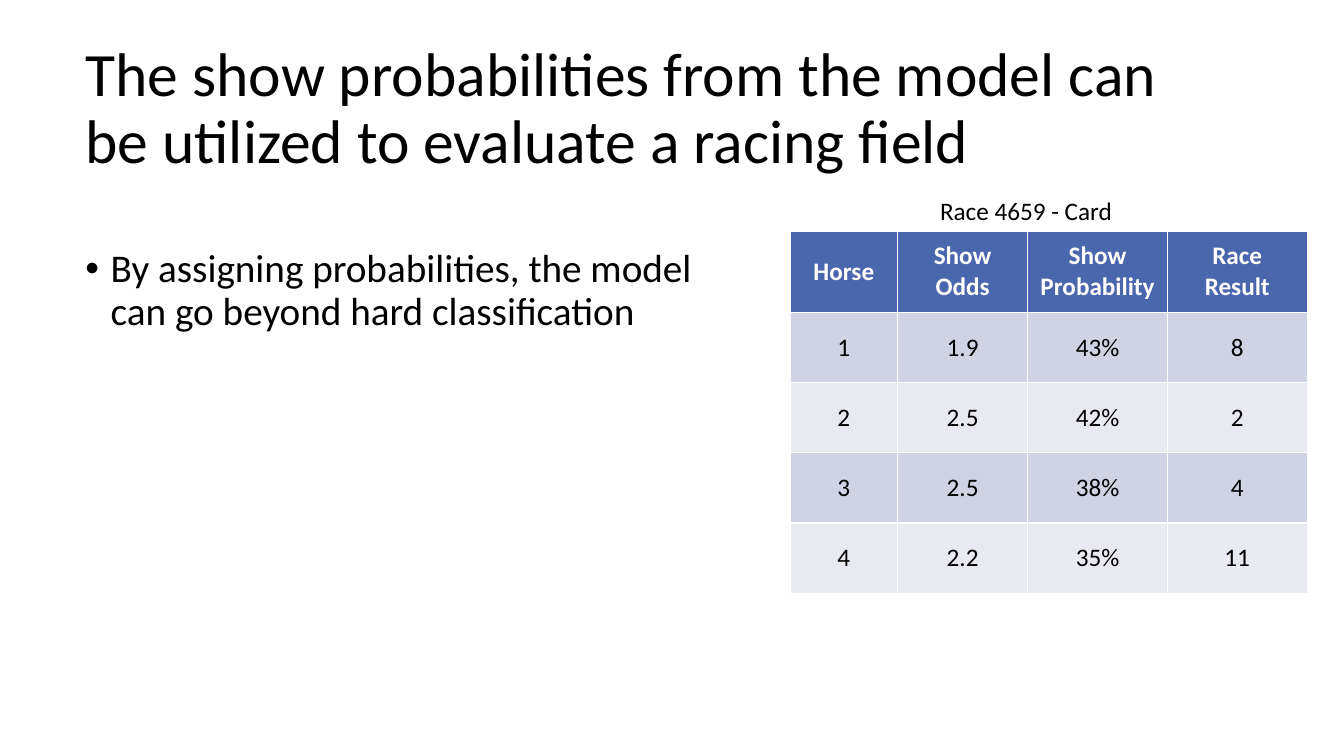
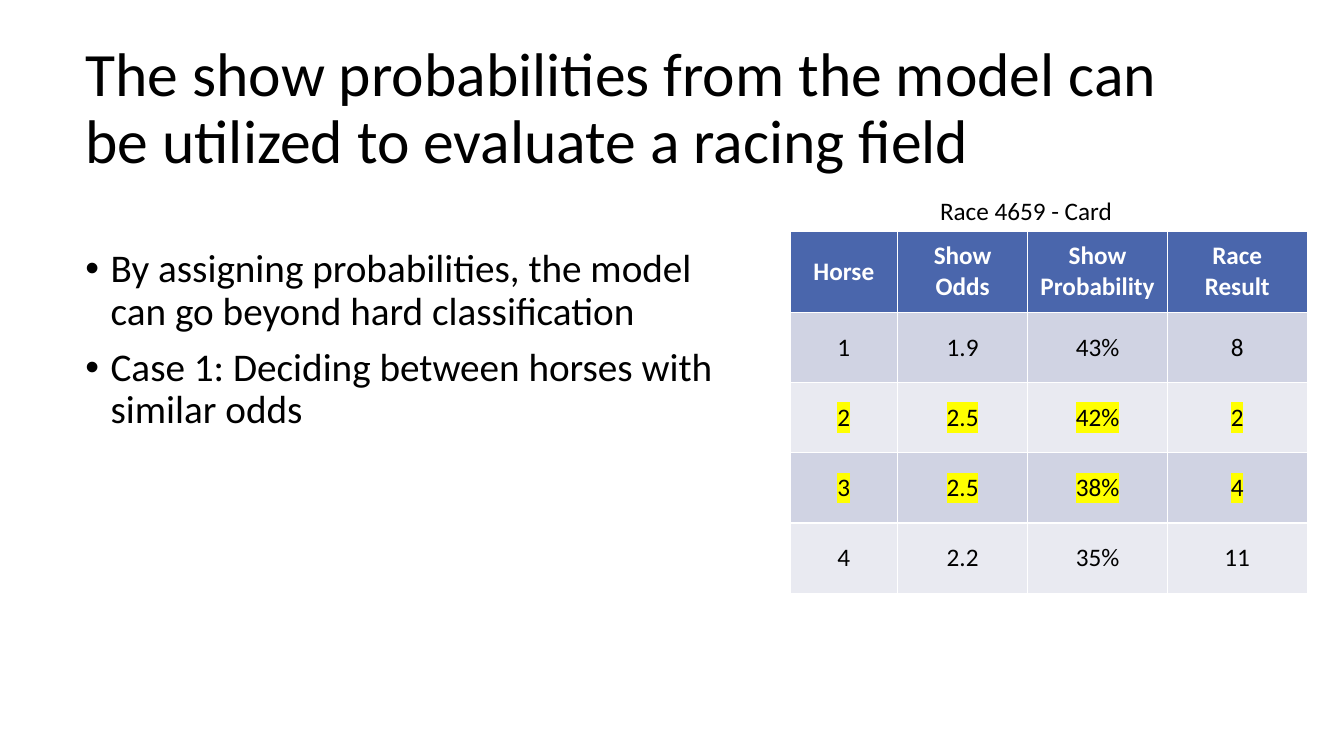
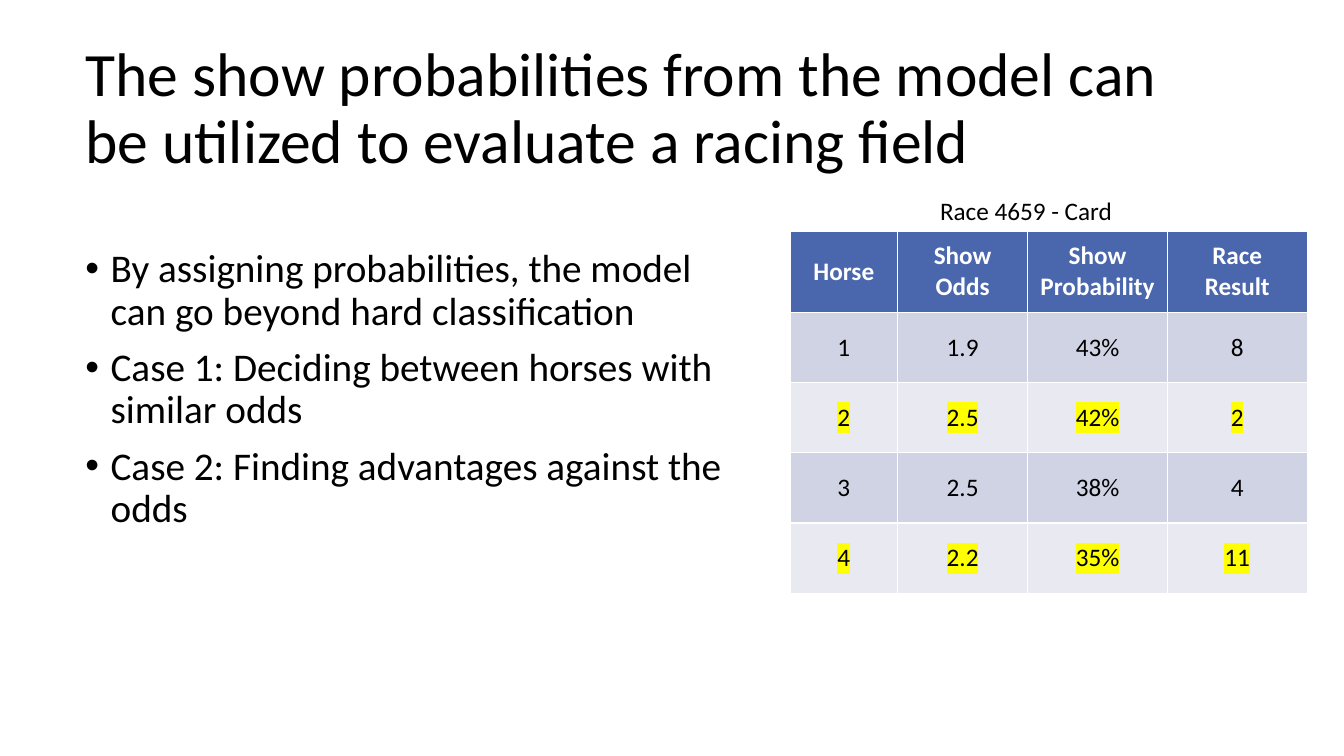
"""Build three slides that evaluate a racing field by show probability."""
import pptx
import pptx.dml.color
import pptx.enum.text
import pptx.util
from lxml import etree
from pptx.oxml.ns import qn
from pptx.util import Cm

TITLE = "The show probabilities from the model can be utilized to evaluate a racing field"
CAPTION = "Race 4659 - Card"
POINTS = [
    "By assigning probabilities, the model can go beyond hard classification",
    "Case 1: Deciding between horses with similar odds",
    "Case 2: Finding advantages against the odds",
]
RACE_CARD = [
    ["Horse", "Show Odds", "Show Probability", "Race Result"],
    ["1", "1.9", "43%", "8"],
    ["2", "2.5", "42%", "2"],
    ["3", "2.5", "38%", "4"],
    ["4", "2.2", "35%", "11"],
]
HIGHLIGHTED_ROWS = [(), (2, 3), (2, 4)]


def color(value):
    return pptx.dml.color.RGBColor.from_string(value)


class Deck:
    FONT = "Calibri"
    TEXT, HEADER_TEXT, HIGHLIGHT = "000000", "FFFFFF", "FFFF00"
    HEADER_FILL, ODD_FILL, EVEN_FILL = "4A66AC", "D0D3E3", "E9EAF1"
    COLUMN_WIDTHS = [2.71, 3.28, 3.52, 3.52]
    ROW_HEIGHTS = [2.05] + [1.77] * 4

    def __init__(self):
        self.presentation = pptx.Presentation()
        self.presentation.slide_width = Cm(33.87)
        self.presentation.slide_height = Cm(19.05)
        self.slide = None

    def format(self, paragraph, size, text_color=TEXT, bold=False):
        font = paragraph.font
        font.name, font.size, font.bold = self.FONT, pptx.util.Pt(size), bold
        font.color.rgb = color(text_color)

    def add_slide(self, text):
        layout = self.presentation.slide_layouts[5]
        self.slide = self.presentation.slides.add_slide(layout)
        title = self.slide.shapes.title
        title.left, title.top = Cm(1.9), Cm(0.74)
        title.width, title.height = Cm(29.21), Cm(4.06)
        frame = title.text_frame
        frame.text = text
        frame.auto_size = pptx.enum.text.MSO_AUTO_SIZE.NONE
        frame.vertical_anchor = pptx.enum.text.MSO_ANCHOR.MIDDLE
        paragraph = frame.paragraphs[0]
        paragraph.alignment = pptx.enum.text.PP_ALIGN.LEFT
        paragraph.line_spacing = 0.9
        self.format(paragraph, 44)

    def add_text(self, lines, left, top, width, height, size):
        box = self.slide.shapes.add_textbox(Cm(left), Cm(top), Cm(width), Cm(height))
        frame = box.text_frame
        frame.word_wrap = True
        frame.text = "\n".join(lines)
        for paragraph in frame.paragraphs:
            self.format(paragraph, size)
        return frame

    def add_bullets(self, lines):
        frame = self.add_text(lines, 1.9, 6.15, 17.04, 12.09, 28)
        for paragraph in frame.paragraphs:
            paragraph.line_spacing = 0.9
            paragraph.space_before = pptx.util.Pt(10)
            properties = paragraph._p.get_or_add_pPr()
            indent = Cm(0.64)
            properties.set("marL", str(indent))
            properties.set("indent", str(-indent))
            bullet_font = etree.Element(qn("a:buFont"), typeface="Arial")
            bullet = etree.Element(qn("a:buChar"), char="•")
            default_font = properties.find(qn("a:defRPr"))
            default_font.addprevious(bullet_font)
            default_font.addprevious(bullet)

    def add_caption(self, text):
        frame = self.add_text([text], 23.44, 4.8, 5.94, 1.02, 18)
        frame.auto_size = pptx.enum.text.MSO_AUTO_SIZE.SHAPE_TO_FIT_TEXT

    def add_table(self, rows, highlighted):
        table = self.slide.shapes.add_table(
            len(rows), len(rows[0]), Cm(19.91), Cm(5.82),
            Cm(sum(self.COLUMN_WIDTHS)), Cm(sum(self.ROW_HEIGHTS))).table
        for column, width in zip(table.columns, self.COLUMN_WIDTHS):
            column.width = Cm(width)
        for row, height in zip(table.rows, self.ROW_HEIGHTS):
            row.height = Cm(height)
        for row_index, values in enumerate(rows):
            for column_index, value in enumerate(values):
                cell = table.cell(row_index, column_index)
                self.fill_cell(cell, value, row_index, row_index in highlighted)

    def fill_cell(self, cell, value, row_index, highlighted):
        is_header = row_index == 0
        band = self.ODD_FILL if row_index % 2 else self.EVEN_FILL
        cell.fill.solid()
        cell.fill.fore_color.rgb = color(self.HEADER_FILL if is_header else band)
        cell.vertical_anchor = pptx.enum.text.MSO_ANCHOR.MIDDLE
        cell.text = value
        paragraph = cell.text_frame.paragraphs[0]
        paragraph.alignment = pptx.enum.text.PP_ALIGN.CENTER
        self.format(paragraph, 18, self.HEADER_TEXT if is_header else self.TEXT, is_header)
        if highlighted:
            properties = paragraph.runs[0]._r.get_or_add_rPr()
            highlight = etree.SubElement(properties, qn("a:highlight"))
            etree.SubElement(highlight, qn("a:srgbClr"), val=self.HIGHLIGHT)


def main():
    deck = Deck()
    for count, highlighted in enumerate(HIGHLIGHTED_ROWS, start=1):
        deck.add_slide(TITLE)
        deck.add_table(RACE_CARD, highlighted)
        deck.add_caption(CAPTION)
        deck.add_bullets(POINTS[:count])
    deck.presentation.save("out.pptx")


if __name__ == "__main__":
    main()
